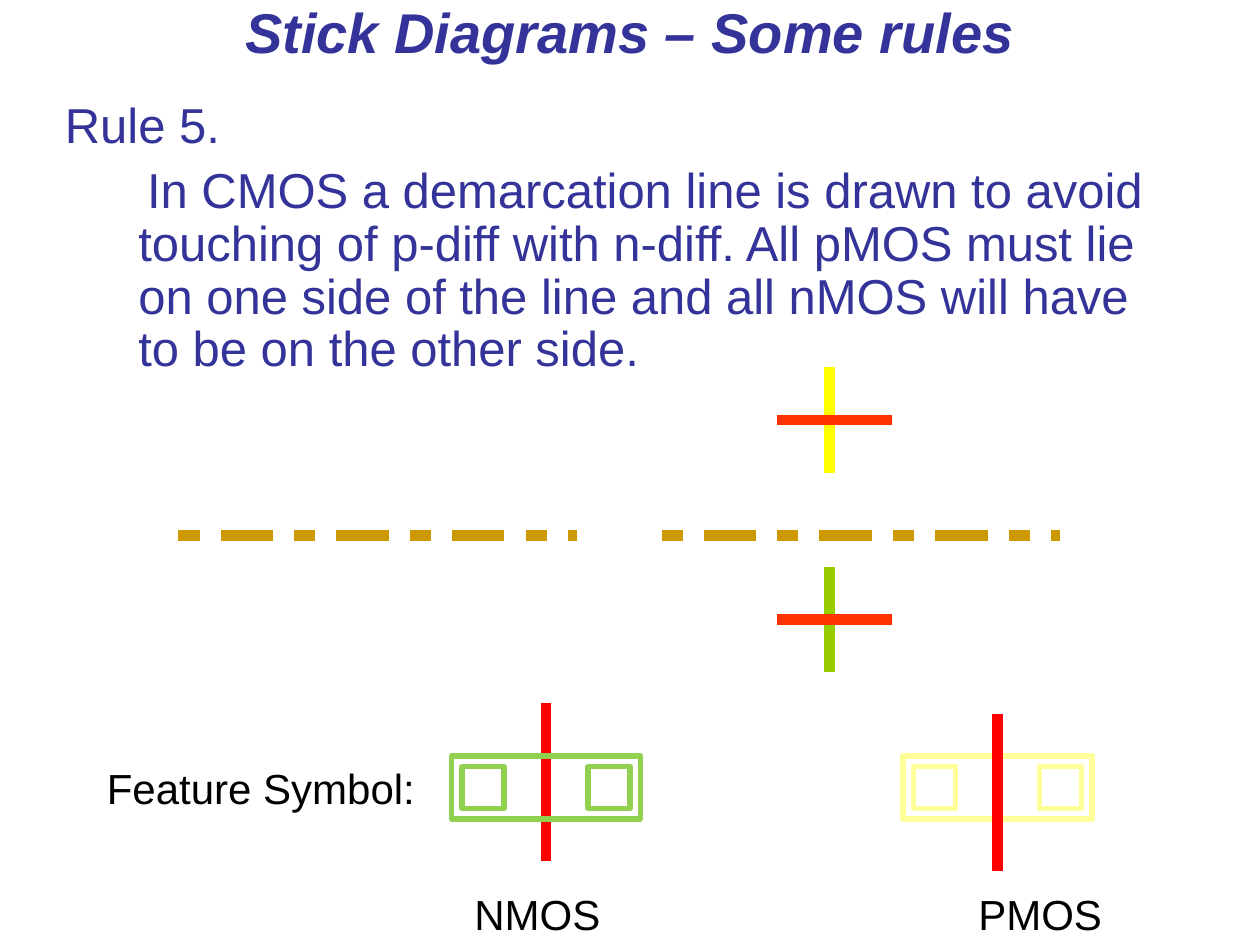
"""Build the stick diagram slide on the CMOS demarcation line rule."""
from lxml import etree
from pptx import Presentation
from pptx.dml.color import RGBColor
from pptx.enum.shapes import MSO_CONNECTOR, MSO_SHAPE
from pptx.enum.text import MSO_ANCHOR, PP_ALIGN
from pptx.oxml.ns import qn
from pptx.util import Pt

RECTANGLE = MSO_SHAPE.RECTANGLE
STRAIGHT = MSO_CONNECTOR.STRAIGHT
CENTER, LEFT = PP_ALIGN.CENTER, PP_ALIGN.LEFT
MIDDLE, TOP = MSO_ANCHOR.MIDDLE, MSO_ANCHOR.TOP

FONT = "Arial"
NAVY, BLACK, GOLD, RED = "333399", "000000", "CC9900", "FF0000"
POLY = "FF3300"

TITLE = "Stick Diagrams – Some rules"
RULE = [
    ("Rule 5.", 0, 0),
    ("In CMOS a demarcation line is drawn to avoid touching of p-diff with n-diff. "
     "All pMOS must lie on one side of the line and all nMOS will have to be on the other side.",
     42, 5),
]
DEMARCATION_STARTS = [102, 378]
DEMARCATION_Y, DEMARCATION_LENGTH = 306, 228
DASHES = [(200000, 200000), (500000, 200000)]
CROSS_X, CROSS_HEIGHT = 474, 60
DIFFUSIONS = [(210, "FFFF00"), (324, "99CC00")]
POLY_LEFT, POLY_RIGHT, POLY_HEIGHTS = 444, 510, [240, 354]
SYMBOL_TOP, SYMBOL_WIDTH, SYMBOL_HEIGHT = 432, 108, 36
CONTACT, CONTACT_INSET, GATE_LENGTH = 24, 6, 90
NMOS_SYMBOL = (258, "92D050", 402)
PMOS_SYMBOL = (516, "FFFF99", 408)


def color(value):
    return RGBColor.from_string(value)


def add_text(slide, box, lines, size, ink, align=LEFT, anchor=TOP):
    shape = slide.shapes.add_textbox(*map(Pt, box))
    frame = shape.text_frame
    frame.word_wrap = True
    frame.vertical_anchor = anchor
    for index, line in enumerate(lines):
        paragraph = frame.add_paragraph() if index else frame.paragraphs[0]
        paragraph.text = line
        paragraph.alignment = align
        paragraph.font.name = FONT
        paragraph.font.size = Pt(size)
        paragraph.font.color.rgb = color(ink)
    return frame.paragraphs


def add_line(slide, start, end, ink):
    line = slide.shapes.add_connector(STRAIGHT, *map(Pt, start + end))
    line.line.color.rgb = color(ink)
    line.line.width = Pt(6)
    etree.SubElement(line._element.spPr, qn("a:effectLst"))
    return line


def set_dashes(line):
    pattern = etree.SubElement(line.line._get_or_add_ln(), qn("a:custDash"))
    for dash, space in DASHES:
        etree.SubElement(pattern, qn("a:ds"), d=str(dash), sp=str(space))


def add_outline(slide, box, ink):
    shape = slide.shapes.add_shape(RECTANGLE, *map(Pt, box))
    shape.shadow.inherit = False
    shape.fill.background()
    shape.line.color.rgb = color(ink)
    shape.line.width = Pt(3)


def add_gate(slide, left, ink, top):
    center = left + SYMBOL_WIDTH / 2
    add_line(slide, (center, top), (center, top + GATE_LENGTH), RED)


def add_symbol(slide, left, ink, top):
    add_outline(slide, (left, SYMBOL_TOP, SYMBOL_WIDTH, SYMBOL_HEIGHT), ink)
    for offset in (CONTACT_INSET, SYMBOL_WIDTH - CONTACT_INSET - CONTACT):
        add_outline(slide, (left + offset, SYMBOL_TOP + CONTACT_INSET, CONTACT, CONTACT), ink)


def add_rule_text(slide):
    title, = add_text(slide, (36, -6, 648, 48), [TITLE], 32, NAVY, CENTER, MIDDLE)
    title.font.bold = title.font.italic = True
    texts = [text for text, margin, indent in RULE]
    paragraphs = add_text(slide, (30, 54, 648, 180), texts, 28, NAVY)
    for paragraph, (text, margin, indent) in zip(paragraphs, RULE):
        paragraph.line_spacing = 0.9
        paragraph.space_before = Pt(7)
        properties = paragraph._p.get_or_add_pPr()
        properties.set("marL", str(Pt(margin)))
        properties.set("indent", str(Pt(indent)))


def add_stick_diagram(slide):
    for left in DEMARCATION_STARTS:
        end = (left + DEMARCATION_LENGTH, DEMARCATION_Y)
        set_dashes(add_line(slide, (left, DEMARCATION_Y), end, GOLD))
    for top, ink in DIFFUSIONS:
        add_line(slide, (CROSS_X, top), (CROSS_X, top + CROSS_HEIGHT), ink)
    for y in POLY_HEIGHTS:
        add_line(slide, (POLY_LEFT, y), (POLY_RIGHT, y), POLY)


def add_feature_symbols(slide):
    add_gate(slide, *NMOS_SYMBOL)
    add_symbol(slide, *NMOS_SYMBOL)
    add_symbol(slide, *PMOS_SYMBOL)
    add_text(slide, (54, 432, 216, 36), ["Feature Symbol:"], 24, BLACK)
    add_gate(slide, *PMOS_SYMBOL)
    names, = add_text(slide, (264, 504, 396, 36), ["NMOS\tPMOS"], 24, BLACK)
    properties = names._p.get_or_add_pPr()
    tabs = etree.Element(qn("a:tabLst"))
    etree.SubElement(tabs, qn("a:tab"), pos=str(Pt(288)), algn="l")
    properties.insert(0, tabs)


def main():
    presentation = Presentation()
    presentation.slide_width, presentation.slide_height = Pt(720), Pt(540)
    slide = presentation.slides.add_slide(presentation.slide_layouts[6])
    add_rule_text(slide)
    add_stick_diagram(slide)
    add_feature_symbols(slide)
    presentation.save("out.pptx")


if __name__ == "__main__":
    main()
